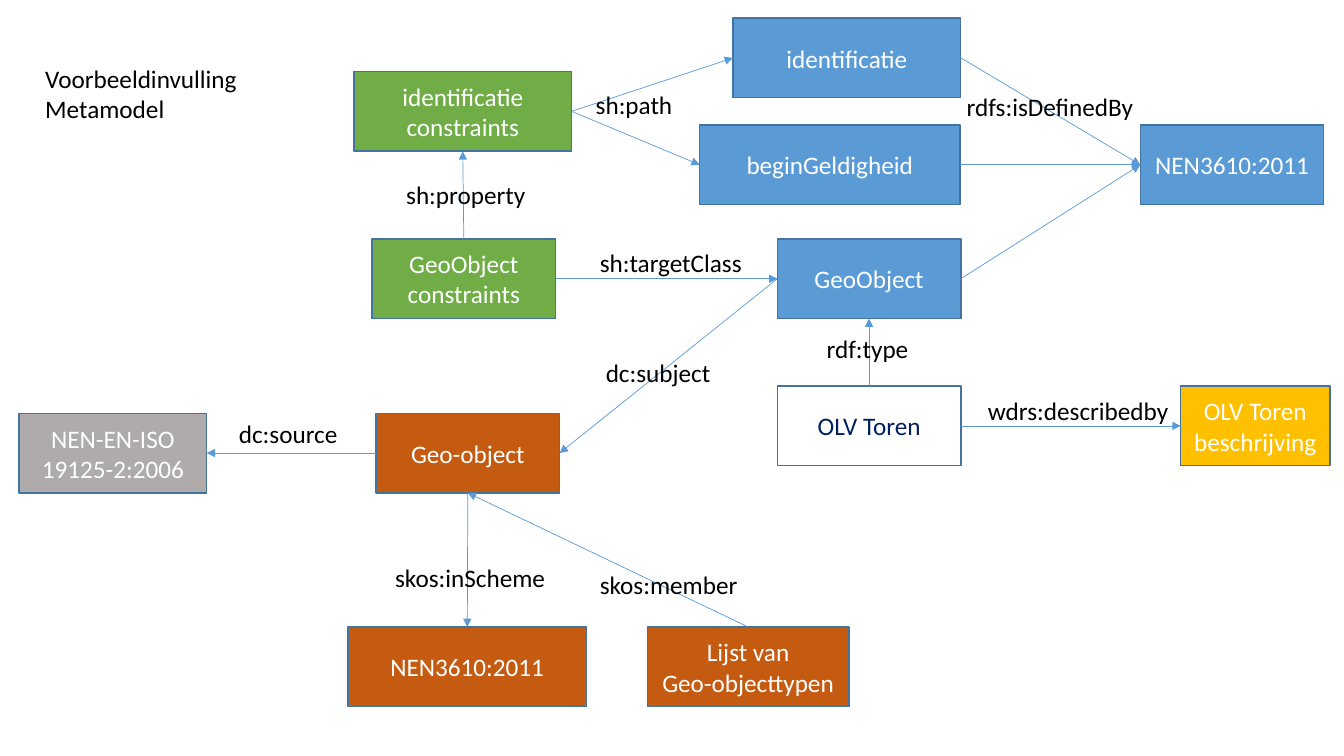
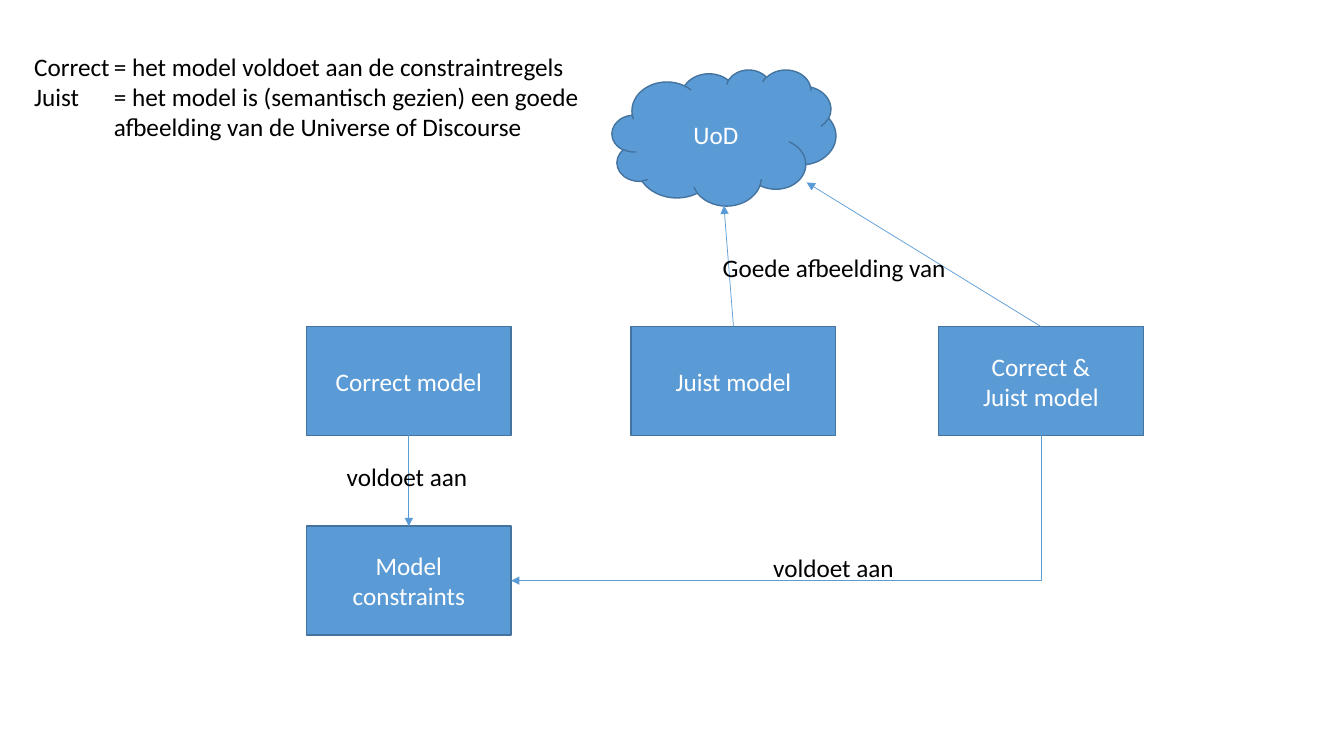
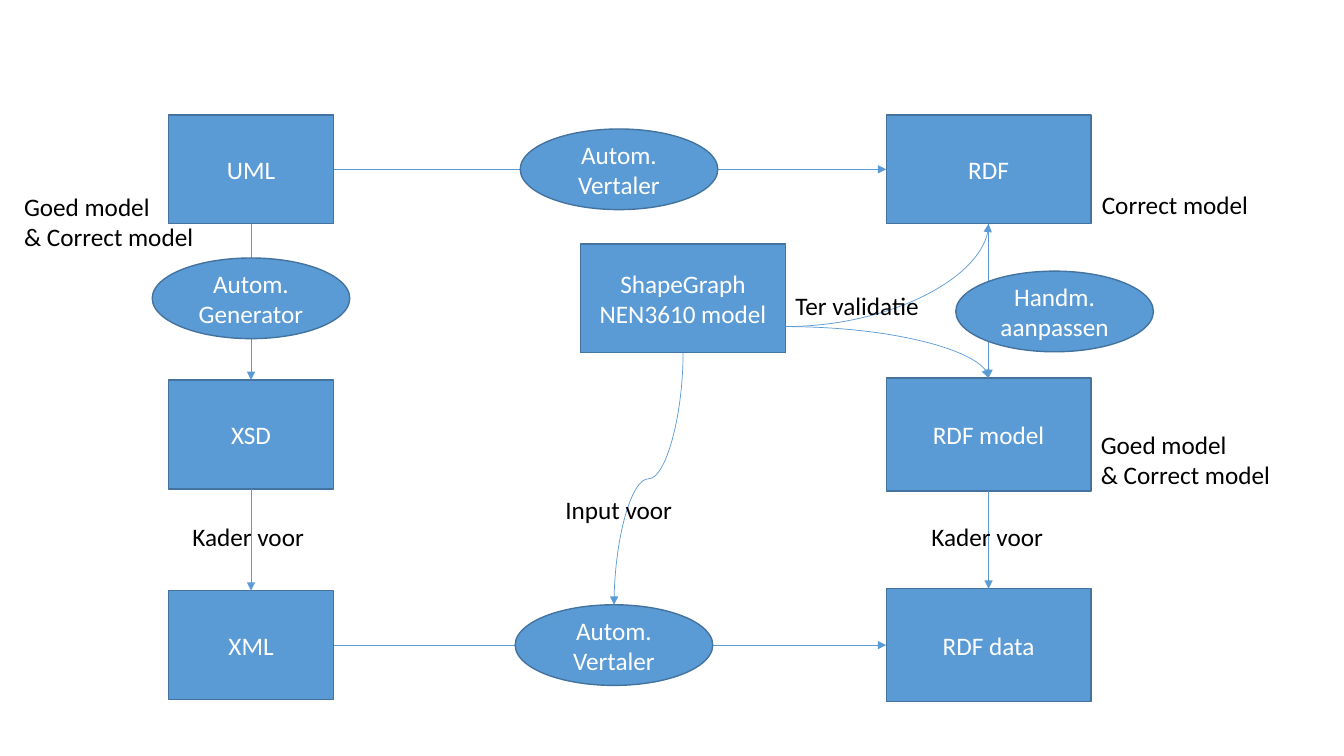
from lxml.etree import SubElement
from pptx import Presentation
from pptx.dml.color import RGBColor
from pptx.enum.shapes import MSO_CONNECTOR, MSO_SHAPE
from pptx.enum.text import MSO_ANCHOR, MSO_AUTO_SIZE, PP_ALIGN
from pptx.oxml.ns import qn
from pptx.util import Inches, Pt

BLUE = RGBColor(0x5B, 0x9B, 0xD5)
BORDER = RGBColor(0x43, 0x73, 0x9E)
GREEN = RGBColor(0x70, 0xAD, 0x47)
ORANGE = RGBColor(0xC5, 0x5A, 0x11)
GRAY = RGBColor(0xAF, 0xAB, 0xAB)
GOLD = RGBColor(0xFF, 0xC0, 0x00)
NAVY = RGBColor(0x00, 0x20, 0x60)
WHITE = RGBColor(0xFF, 0xFF, 0xFF)
BLACK = RGBColor(0x00, 0x00, 0x00)

TOP, LEFT, BOTTOM, RIGHT = range(4)


def write(frame, text, color=BLACK, align=PP_ALIGN.LEFT, hanging=0, size=18, font="Calibri"):
    for index, line in enumerate(text.split("\n")):
        paragraph = frame.paragraphs[0] if index == 0 else frame.add_paragraph()
        paragraph.alignment = align
        if hanging:
            properties = paragraph._p.get_or_add_pPr()
            properties.set("marL", str(Inches(hanging)))
            properties.set("indent", str(-Inches(hanging)))
        run = paragraph.add_run()
        run.text = line
        run.font.name = font
        run.font.size = Pt(size)
        run.font.color.rgb = color


def end_point(end):
    if len(end) == 2 and not isinstance(end[0], (int, float)):
        shape, side = end
        across = {LEFT: 0, RIGHT: shape.width}.get(side, shape.width // 2)
        down = {TOP: 0, BOTTOM: shape.height}.get(side, shape.height // 2)
        return shape.left + across, shape.top + down
    return Inches(end[0]), Inches(end[1])


class Diagram:
    def __init__(self):
        self.presentation = Presentation()
        self.presentation.slide_width = Inches(13.33)
        self.presentation.slide_height = Inches(7.5)
        self.slide = None

    def new_slide(self):
        self.slide = self.presentation.slides.add_slide(self.presentation.slide_layouts[6])

    def node(self, text, left, top, width, height, fill=BLUE, color=WHITE, preset=MSO_SHAPE.RECTANGLE):
        shape = self.slide.shapes.add_shape(
            preset, Inches(left), Inches(top), Inches(width), Inches(height))
        shape.shadow.inherit = False
        shape.fill.solid()
        shape.fill.fore_color.rgb = fill
        shape.line.color.rgb = BORDER
        shape.line.width = Pt(1)
        shape.text_frame.word_wrap = True
        shape.text_frame.vertical_anchor = MSO_ANCHOR.MIDDLE
        write(shape.text_frame, text, color=color, align=PP_ALIGN.CENTER)
        return shape

    def ellipse(self, text, left, top):
        return self.node(text, left, top, 1.96, 0.8, preset=MSO_SHAPE.OVAL)

    def label(self, text, left, top, width, height=0.4, wrap=False, hanging=0):
        box = self.slide.shapes.add_textbox(
            Inches(left), Inches(top), Inches(width), Inches(height))
        box.text_frame.word_wrap = wrap
        box.text_frame.auto_size = MSO_AUTO_SIZE.SHAPE_TO_FIT_TEXT
        write(box.text_frame, text, hanging=hanging)

    def arrow(self, start, end, kind=MSO_CONNECTOR.STRAIGHT, preset=None, turned=False):
        (x1, y1), (x2, y2) = end_point(start), end_point(end)
        connector = self.slide.shapes.add_connector(kind, x1, y1, x2, y2)
        if not isinstance(start[0], (int, float)):
            connector.begin_connect(*start)
        if not isinstance(end[0], (int, float)):
            connector.end_connect(*end)
        properties = connector._element.spPr
        if preset:
            properties.find(qn("a:prstGeom")).set("prst", preset)
        if turned:
            width, height = abs(y2 - y1), abs(x2 - x1)
            transform = properties.find(qn("a:xfrm"))
            transform.attrib.clear()
            transform.set("rot", "5400000")
            connector.left, connector.top = (x1 + x2 - width) // 2, (y1 + y2 - height) // 2
            connector.width, connector.height = width, height
        connector.line.color.rgb = BLUE
        connector.line.width = Pt(0.5)
        SubElement(connector.line._get_or_add_ln(), qn("a:tailEnd"), type="triangle")
        SubElement(properties, qn("a:effectLst"))


def metamodel_slide(diagram):
    diagram.new_slide()

    def box(text, left, top, width=1.82, fill=BLUE, color=WHITE):
        return diagram.node(text, left, top, width, 0.79, fill, color)

    concept = box("Geo-object", 3.73, 4.1, fill=ORANGE)
    geo_class = box("GeoObject", 7.71, 2.37)
    begin = box("beginGeldigheid", 6.94, 1.24, 2.58)
    identification = box("identificatie", 7.27, 0.18, 2.26)
    class_rules = box("GeoObject\nconstraints", 3.69, 2.37, fill=GREEN)
    property_rules = box("identificatie\nconstraints", 3.51, 0.71, 2.16, GREEN)
    standard = box("NEN-EN-ISO 19125-2:2006", 0.19, 4.1, 1.86, GRAY)
    type_list = box("Lijst van\nGeo-objecttypen", 6.42, 6.22, 2, ORANGE)
    scheme = box("NEN3610:2011", 3.45, 6.22, 2.37, ORANGE)
    description = box("OLV Toren\nbeschrijving", 11.71, 3.83, 1.48, GOLD)
    ontology = box("NEN3610:2011", 11.31, 1.24)
    tower = box("OLV Toren", 7.71, 3.83, fill=WHITE, color=NAVY)

    for start, start_side, end, end_side in [
        (tower, RIGHT, description, LEFT),
        (tower, TOP, geo_class, BOTTOM),
        (identification, RIGHT, ontology, LEFT),
        (begin, RIGHT, ontology, LEFT),
        (geo_class, RIGHT, ontology, LEFT),
        (property_rules, RIGHT, identification, LEFT),
        (property_rules, RIGHT, begin, LEFT),
        (class_rules, TOP, property_rules, BOTTOM),
        (class_rules, RIGHT, geo_class, LEFT),
        (geo_class, LEFT, concept, RIGHT),
        (concept, BOTTOM, scheme, TOP),
        (type_list, TOP, concept, BOTTOM),
        (concept, LEFT, standard, RIGHT),
    ]:
        diagram.arrow((start, start_side), (end, end_side))

    for text, left, top, width in [
        ("wdrs:describedby", 9.7, 3.87, 2.05),
        ("rdf:type", 8.1, 3.26, 1.02),
        ("rdfs:isDefinedBy", 9.49, 0.86, 1.87),
        ("sh:path", 5.81, 0.84, 0.99),
        ("sh:property", 3.93, 1.73, 1.41),
        ("sh:targetClass", 5.85, 2.4, 1.62),
        ("dc:subject", 5.91, 3.5, 1.25),
        ("skos:inScheme", 3.82, 5.53, 1.72),
        ("skos:member", 5.85, 5.6, 1.58),
        ("dc:source", 2.27, 4.1, 1.19),
    ]:
        diagram.label(text, left, top, width)
    diagram.label("Voorbeeldinvulling\nMetamodel", 0.35, 0.58, 2.13, 0.71)


def correctness_slide(diagram):
    diagram.new_slide()
    diagram.node("UoD", 6.07, 0.69, 2.22, 1.35, preset=MSO_SHAPE.CLOUD)
    correct, right, both, rules = [
        diagram.node(text, left, top, 2.03, 1.08)
        for text, left, top in [
            ("Correct model", 3.04, 3.24),
            ("Juist model", 6.26, 3.24),
            ("Correct &\nJuist model", 9.31, 3.24),
            ("Model\nconstraints", 3.04, 5.22),
        ]
    ]
    diagram.arrow((correct, BOTTOM), (rules, TOP))
    diagram.arrow((right, TOP), (7.18, 2.04))
    diagram.arrow((both, TOP), (8, 1.81))
    diagram.arrow((both, BOTTOM), (rules, RIGHT), MSO_CONNECTOR.ELBOW, "bentConnector2", turned=True)

    diagram.label("voldoet aan", 3.34, 4.53, 1.43)
    diagram.label("Goede afbeelding van", 7.07, 2.45, 2.44)
    diagram.label("voldoet aan", 7.57, 5.43, 1.43)
    diagram.label(
        "Correct\t= het model voldoet aan de constraintregels\n"
        "Juist\t= het model is (semantisch gezien) een goede afbeelding van de Universe of Discourse",
        0.24, 0.46, 5.71, 1.01, wrap=True, hanging=0.79)


def translation_slide(diagram):
    diagram.new_slide()
    uml, xsd, xml = [
        diagram.node(text, 1.67, top, 1.64, 1.08)
        for text, top in [("UML", 1.14), ("XSD", 3.77), ("XML", 5.86)]
    ]
    rdf, rdf_model, rdf_data = [
        diagram.node(text, 8.79, top, 2.03, height)
        for text, top, height in [("RDF", 1.14, 1.08), ("RDF model", 3.75, 1.12), ("RDF data", 5.84, 1.12)]
    ]
    shape_graph = diagram.node("ShapeGraph\nNEN3610 model", 5.76, 2.42, 2.03, 1.08)

    for start, start_side, end, end_side in [
        (uml, RIGHT, rdf, LEFT),
        (xml, RIGHT, rdf_data, LEFT),
        (uml, BOTTOM, xsd, TOP),
        (xsd, BOTTOM, xml, TOP),
        (rdf, BOTTOM, rdf_model, TOP),
        (rdf_model, BOTTOM, rdf_data, TOP),
    ]:
        diagram.arrow((start, start_side), (end, end_side))
    for target in [(rdf, BOTTOM), (rdf_model, TOP)]:
        diagram.arrow((7.79, 3.24), target, MSO_CONNECTOR.CURVE, "curvedConnector2")

    diagram.ellipse("Autom.\nVertaler", 5.16, 1.28)
    diagram.ellipse("Autom.\nGenerator", 1.51, 2.56)
    diagram.ellipse("Handm.\naanpassen", 9.48, 2.69)
    data_translator = diagram.ellipse("Autom.\nVertaler", 5.11, 6)
    diagram.arrow((shape_graph, BOTTOM), (data_translator, TOP), MSO_CONNECTOR.CURVE, turned=True)

    for text, left, top, width in [
        ("Correct model", 10.83, 1.83, 1.67),
        ("Ter validatie", 7.79, 2.83, 1.44),
        ("Input voor", 5.51, 4.85, 1.27),
        ("Kader voor", 1.81, 5.12, 1.32),
        ("Kader voor", 9.14, 5.12, 1.32),
    ]:
        diagram.label(text, left, top, width)
    for left, top in [(0.14, 1.85), (10.82, 4.21)]:
        diagram.label("Goed model\n& Correct model", left, top, 1.9, 0.71)


def main():
    diagram = Diagram()
    metamodel_slide(diagram)
    correctness_slide(diagram)
    translation_slide(diagram)
    diagram.presentation.save("out.pptx")


if __name__ == "__main__":
    main()
